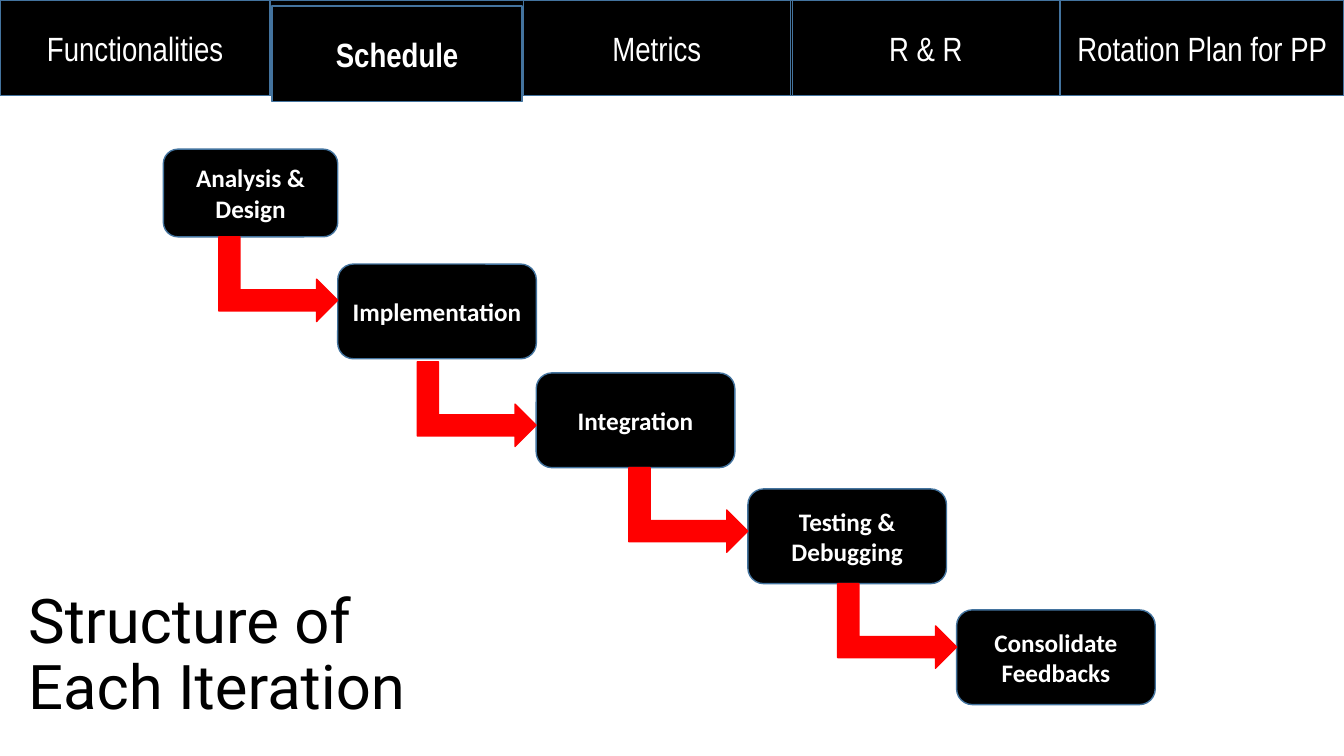
from dataclasses import dataclass
from itertools import pairwise

from pptx import Presentation
from pptx.dml.color import RGBColor
from pptx.enum.shapes import MSO_SHAPE
from pptx.enum.text import MSO_ANCHOR, MSO_AUTO_SIZE, PP_ALIGN
from pptx.shapes.autoshape import Shape
from pptx.slide import Slide
from pptx.util import Inches, Pt

COLOURS = {"black": "000000", "white": "FFFFFF", "edge": "43739E", "arrow": "FF0000"}
SLIDE_WIDTH = Inches(13.33)
SLIDE_HEIGHT = Inches(7.5)
TAB_HEIGHT = 12.67
ARROW_WIDTH = 6.3
ARROW_HEIGHT = 15.73
ARROW_LEAD = 7.58
ARROW_RISE = 2.27


@dataclass(frozen=True)
class Tab:
    label: str
    left: float
    width: float
    top: float = 0
    active: bool = False


@dataclass(frozen=True)
class Phase:
    label: str
    left: float
    top: float
    width: float = 14.78
    height: float = 12.53
    gap: float = 0


TABS = [
    Tab("Rotation Plan for PP", 78.9, 21.1),
    Tab("Functionalities", 0, 20.1),
    Tab("Metrics", 38.93, 19.88),
    Tab("R & R", 58.95, 19.88),
    Tab("Schedule", 20.25, 18.6, top=0.8, active=True),
]

PHASES = [
    Phase("Analysis & Design", 12.15, 19.73, width=12.98, height=11.6),
    Phase("Implementation", 25.13, 34.93, gap=0.4),
    Phase("Integration", 39.9, 49.33),
    Phase("Testing & Debugging", 55.65, 64.67),
    Phase("Consolidate Feedbacks", 71.18, 80.67),
]


def across(percent: float) -> int:
    return round(SLIDE_WIDTH * percent / 100)


def down(percent: float) -> int:
    return round(SLIDE_HEIGHT * percent / 100)


def write(shape: Shape, text: str, *, font: str, size: float, colour: str = "white",
          bold: bool = False, align: PP_ALIGN = PP_ALIGN.CENTER,
          spacing: float = 1.0) -> None:
    frame = shape.text_frame
    frame.text = text
    frame.word_wrap = True
    frame.auto_size = MSO_AUTO_SIZE.NONE
    frame.vertical_anchor = MSO_ANCHOR.MIDDLE
    paragraph = frame.paragraphs[0]
    paragraph.alignment = align
    paragraph.line_spacing = spacing
    for run in paragraph.runs:
        run.font.name = font
        run.font.size = Pt(size)
        run.font.bold = bold
        run.font.color.rgb = RGBColor.from_string(COLOURS[colour])


def draw(slide: Slide, kind: MSO_SHAPE, left: float, top: float, width: float,
         height: float, fill: str = "black", edge: str = "edge") -> Shape:
    shape = slide.shapes.add_shape(kind, across(left), down(top), across(width), down(height))
    shape.shadow.inherit = False
    shape.fill.solid()
    shape.fill.fore_color.rgb = RGBColor.from_string(COLOURS[fill])
    shape.line.color.rgb = RGBColor.from_string(COLOURS[edge])
    shape.line.width = Pt(1)
    return shape


def draw_tab(slide: Slide, tab: Tab) -> None:
    button = draw(slide, MSO_SHAPE.RECTANGLE, tab.left, tab.top, tab.width, TAB_HEIGHT)
    write(button, tab.label, font="Arial Narrow", size=24, bold=tab.active)


def draw_phase(slide: Slide, phase: Phase) -> None:
    step = draw(slide, MSO_SHAPE.ROUNDED_RECTANGLE, phase.left, phase.top,
                phase.width, phase.height)
    write(step, phase.label, font="Calibri", size=18, bold=True)


def draw_arrow(slide: Slide, before: Phase, after: Phase) -> None:
    top = before.top + before.height + before.gap - ARROW_RISE
    arrow = draw(slide, MSO_SHAPE.BENT_UP_ARROW, after.left - ARROW_LEAD, top,
                 ARROW_WIDTH, ARROW_HEIGHT, fill="arrow", edge="arrow")
    arrow.rotation = 90


def place_title(slide: Slide) -> None:
    heading = slide.shapes.title
    heading.left, heading.top = across(1.35), down(77.2)
    heading.width, heading.height = across(35.33), down(19.33)
    write(heading, "Structure of\vEach Iteration", font="Roboto", size=44,
          colour="black", align=PP_ALIGN.LEFT, spacing=0.9)


def main() -> None:
    deck = Presentation()
    deck.slide_width = SLIDE_WIDTH
    deck.slide_height = SLIDE_HEIGHT
    slide = deck.slides.add_slide(deck.slide_layouts[5])
    place_title(slide)
    draw(slide, MSO_SHAPE.RECTANGLE, 0, 0, 100, TAB_HEIGHT)
    for tab in TABS:
        draw_tab(slide, tab)
    for phase in PHASES:
        draw_phase(slide, phase)
    for before, after in pairwise(PHASES):
        draw_arrow(slide, before, after)
    deck.save("out.pptx")


if __name__ == "__main__":
    main()
